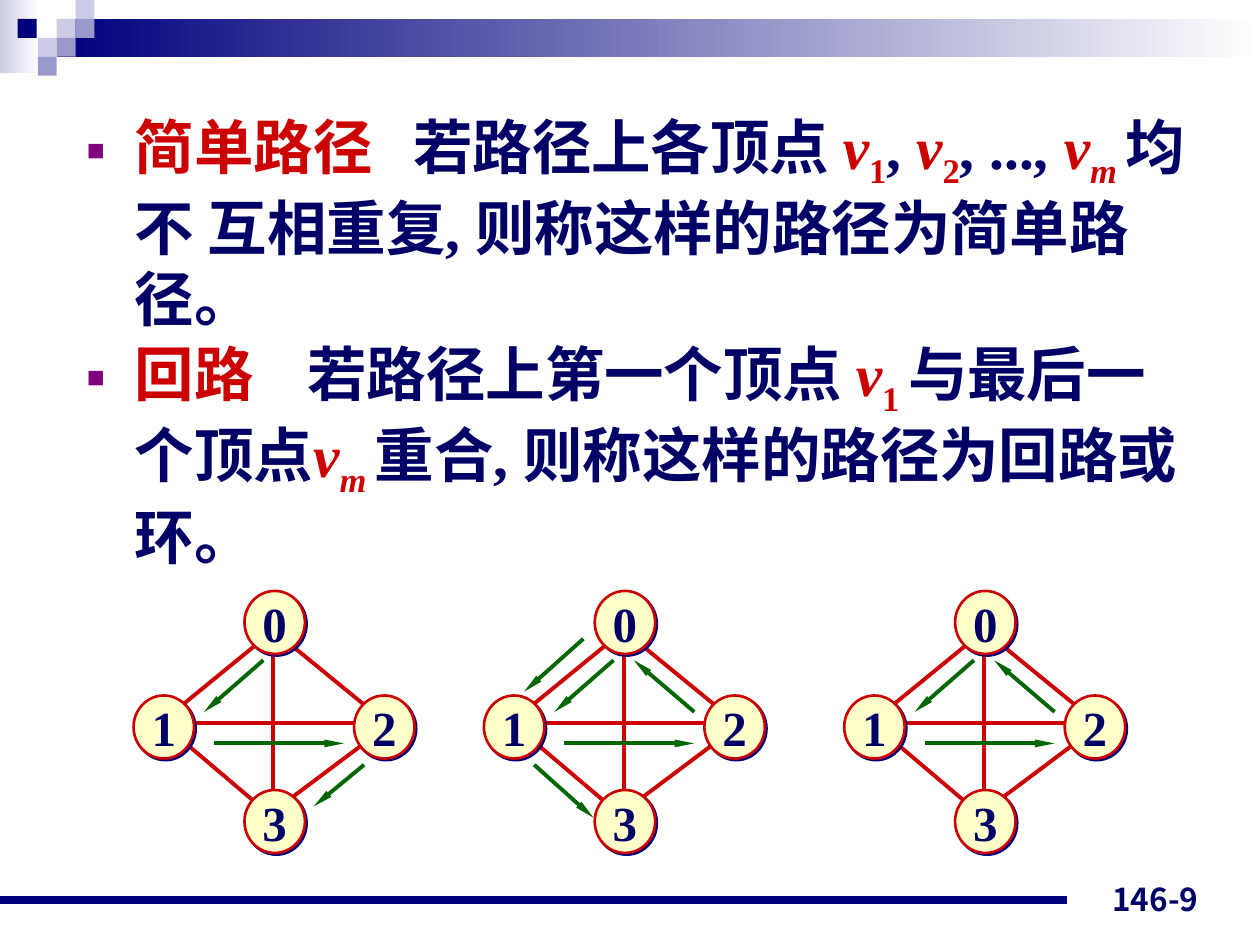
from dataclasses import dataclass

from lxml.etree import SubElement
from pptx import Presentation
from pptx.dml.color import RGBColor
from pptx.enum.shapes import MSO_CONNECTOR as Connector, MSO_SHAPE as Shape
from pptx.enum.text import MSO_ANCHOR as Anchor, MSO_AUTO_SIZE as AutoSize, PP_ALIGN as Align
from pptx.oxml.ns import qn
from pptx.util import Inches, Pt


@dataclass(frozen=True)
class Theme:
    ink: str = "000066"
    accent: str = "CC0000"
    arrow: str = "006600"
    navy: str = "00007D"
    mid: str = "9999CC"
    pale: str = "CCCCE6"
    white: str = "FFFFFF"
    node: str = "FFFFCC"
    bullet: str = "800080"
    latin: str = "Times New Roman"
    asian: str = "Noto Sans CJK JP"
    body_size: float = 34
    label_size: float = 28
    number_size: float = 18
    line_width: float = 2.25


@dataclass(frozen=True)
class Span:
    text: str
    color: str
    italic: bool = False
    lowered: bool = False


@dataclass(frozen=True)
class Item:
    tab: float
    spans: tuple[Span, ...]


@dataclass(frozen=True)
class Segment:
    x1: float
    y1: float
    x2: float
    y2: float


@dataclass(frozen=True)
class Node:
    label: str
    x: float
    y: float


@dataclass(frozen=True)
class Graph:
    center: float
    arrows: tuple[Segment, ...]


THEME = Theme()


def variable(index: str) -> tuple[Span, Span]:
    return (Span("v", THEME.accent, italic=True),
            Span(index, THEME.accent, italic=index.startswith("m"), lowered=True))


ITEMS = (
    Item(2.59, (Span("简单路径", THEME.accent), Span("\t若路径上各顶点 ", THEME.ink),
                *variable("1"), Span(", ", THEME.ink),
                *variable("2"), Span(", ..., ", THEME.ink), *variable("m "),
                Span("均不 互相重复, 则称这样的路径为简单路径。", THEME.ink))),
    Item(1.75, (Span("回路", THEME.accent), Span("\t若路径上第一个顶点 ", THEME.ink),
                *variable("1 "), Span("与最后一个顶点", THEME.ink), *variable("m "),
                Span("重合, 则称这样的路径为回路或环。", THEME.ink))),
)

NODES = (Node("0", 0.01, 4.94), Node("1", -0.87, 5.77),
         Node("2", 0.88, 5.77), Node("3", 0.01, 6.52))
EDGES = (Segment(-0.79, 5.82, 0, 6.49), Segment(0.08, 5.07, 0.79, 5.65),
         Segment(0.72, 5.9, 0.16, 6.32), Segment(-0.08, 5.07, -0.79, 5.65),
         Segment(-0.71, 5.74, 0.72, 5.74), Segment(0, 5.1, 0, 6.57))

ZERO_TO_ONE = Segment(-0.08, 5.24, -0.55, 5.65)
ONE_TO_TWO = Segment(-0.47, 5.9, 0.56, 5.9)
TWO_TO_THREE = Segment(0.72, 6.07, 0.32, 6.4)
TWO_TO_ZERO = Segment(0.56, 5.65, 0.08, 5.24)
ZERO_TO_ONE_AGAIN = Segment(-0.32, 5.07, -0.79, 5.49)
ONE_TO_THREE = Segment(-0.71, 6.07, -0.24, 6.49)
GRAPHS = (
    Graph(2.17, (ZERO_TO_ONE, ONE_TO_TWO, TWO_TO_THREE)),
    Graph(4.95, (ZERO_TO_ONE, ONE_TO_TWO, ZERO_TO_ONE_AGAIN, TWO_TO_ZERO, ONE_TO_THREE)),
    Graph(7.81, (ZERO_TO_ONE, ONE_TO_TWO, TWO_TO_ZERO)),
)


def rgb(color: str) -> RGBColor:
    return RGBColor.from_string(color)


def add_span(para, span: Span, size: float, latin: str) -> None:
    run = para.add_run()
    run.text = span.text
    font = run.font
    font.size, font.bold, font.italic = Pt(size), True, span.italic
    font.name = latin
    font.color.rgb = rgb(span.color)
    properties = run._r.get_or_add_rPr()
    SubElement(properties, qn("a:ea"), typeface=THEME.asian)
    if span.lowered:
        properties.set("baseline", "-25000")


def add_block(page, left: float, top: float, width: float, height: float, *colors: str) -> None:
    block = page.shapes.add_shape(Shape.RECTANGLE, Inches(left), Inches(top),
                                  Inches(width), Inches(height))
    block.shadow.inherit = False
    block.line.fill.background()
    if len(colors) == 1:
        block.fill.solid()
        block.fill.fore_color.rgb = rgb(colors[0])
        return
    block.fill.gradient()
    block.fill.gradient_angle = 0
    for stop, color, position in zip(block.fill.gradient_stops, colors, (0, 1)):
        stop.color.rgb = rgb(color)
        stop.position = position


def add_line(page, segment: Segment, color: str, width: float,
             shift: float = 0, arrow: bool = False) -> None:
    line = page.shapes.add_connector(
        Connector.STRAIGHT, Inches(segment.x1 + shift), Inches(segment.y1),
        Inches(segment.x2 + shift), Inches(segment.y2))
    line.line.color.rgb = rgb(color)
    line.line.width = Pt(width)
    if arrow:
        SubElement(line.line._get_or_add_ln(), qn("a:tailEnd"), type="triangle", w="sm", len="lg")
    SubElement(line._element.spPr, qn("a:effectLst"))


def add_node(page, node: Node, center: float) -> None:
    width, height = 0.48, 0.5
    circle = page.shapes.add_shape(
        Shape.OVAL, Inches(center + node.x - width / 2), Inches(node.y - height / 2),
        Inches(width), Inches(height))
    circle.fill.solid()
    circle.fill.fore_color.rgb = rgb(THEME.node)
    circle.line.color.rgb = rgb(THEME.accent)
    circle.line.width = Pt(1.5)
    circle.shadow.inherit = False
    effects = circle._element.spPr.find(qn("a:effectLst"))
    shadow = SubElement(effects, qn("a:outerShdw"), dist=str(Pt(1.4)), dir="2700000",
                        algn="ctr", rotWithShape="0")
    SubElement(shadow, qn("a:srgbClr"), val=THEME.navy)
    frame = circle.text_frame
    frame.margin_left = frame.margin_right = frame.margin_top = frame.margin_bottom = 0
    frame.word_wrap = False
    frame.vertical_anchor = Anchor.MIDDLE
    para = frame.paragraphs[0]
    para.alignment = Align.CENTER
    add_span(para, Span(node.label, THEME.ink), THEME.label_size, THEME.latin)


def add_graph(page, graph: Graph) -> None:
    for edge in EDGES:
        add_line(page, edge, THEME.accent, THEME.line_width, graph.center)
    for node in NODES:
        add_node(page, node, graph.center)
    for arrow in graph.arrows:
        add_line(page, arrow, THEME.arrow, THEME.line_width, graph.center, arrow=True)


def fill_item(para, item: Item, space_before: float) -> None:
    para.space_before = Pt(space_before)
    properties = para._p.get_or_add_pPr()
    properties.set("marL", str(Inches(0.38)))
    properties.set("indent", str(Inches(-0.38)))
    color = SubElement(properties, qn("a:buClr"))
    SubElement(color, qn("a:srgbClr"), val=THEME.bullet)
    SubElement(properties, qn("a:buSzPct"), val="50000")
    SubElement(properties, qn("a:buFont"), typeface=THEME.latin)
    SubElement(properties, qn("a:buChar"), char="■")
    tabs = SubElement(properties, qn("a:tabLst"))
    SubElement(tabs, qn("a:tab"), pos=str(Inches(item.tab)), algn="l")
    for span in item.spans:
        add_span(para, span, THEME.body_size, THEME.latin)


def fill_body(body) -> None:
    body.left, body.top = Inches(0.59), Inches(0.82)
    body.width, body.height = Inches(8.92), Inches(3.92)
    frame = body.text_frame
    frame.auto_size = AutoSize.NONE
    frame.word_wrap = True
    for index, item in enumerate(ITEMS):
        para = frame.add_paragraph() if index else frame.paragraphs[0]
        fill_item(para, item, 2.1 if index else 0)


def add_page_number(page) -> None:
    box = page.shapes.add_textbox(Inches(7.28), Inches(6.83), Inches(2.33), Inches(0.5))
    box.text_frame.word_wrap = True
    box.text_frame.vertical_anchor = Anchor.BOTTOM
    para = box.text_frame.paragraphs[0]
    para.alignment = Align.RIGHT
    add_span(para, Span("146-9", THEME.ink), THEME.number_size, THEME.asian)


def add_banner(page) -> None:
    add_block(page, 0, 0, 0.31, 0.58, THEME.pale, THEME.white)
    add_block(page, 0.45, 0.15, 9.55, 0.3, THEME.navy, THEME.white)
    for left, top, color in ((0.45, 0.15, THEME.pale), (0.6, 0, THEME.pale),
                             (0.6, 0.15, THEME.mid), (0.3, 0.3, THEME.pale),
                             (0.14, 0.15, THEME.navy), (0.45, 0.3, THEME.mid),
                             (0.3, 0.45, THEME.mid)):
        add_block(page, left, top, 0.15, 0.15, color)


def main() -> None:
    deck = Presentation()
    deck.slide_width, deck.slide_height = Inches(10), Inches(7.5)
    page = deck.slides.add_slide(deck.slide_layouts[1])
    title = page.shapes.title._element
    title.getparent().remove(title)
    add_banner(page)
    add_line(page, Segment(0, 7.14, 8.47, 7.14), THEME.navy, 4.5)
    add_page_number(page)
    fill_body(page.placeholders[1])
    for graph in GRAPHS:
        add_graph(page, graph)
    deck.save("out.pptx")


if __name__ == "__main__":
    main()
